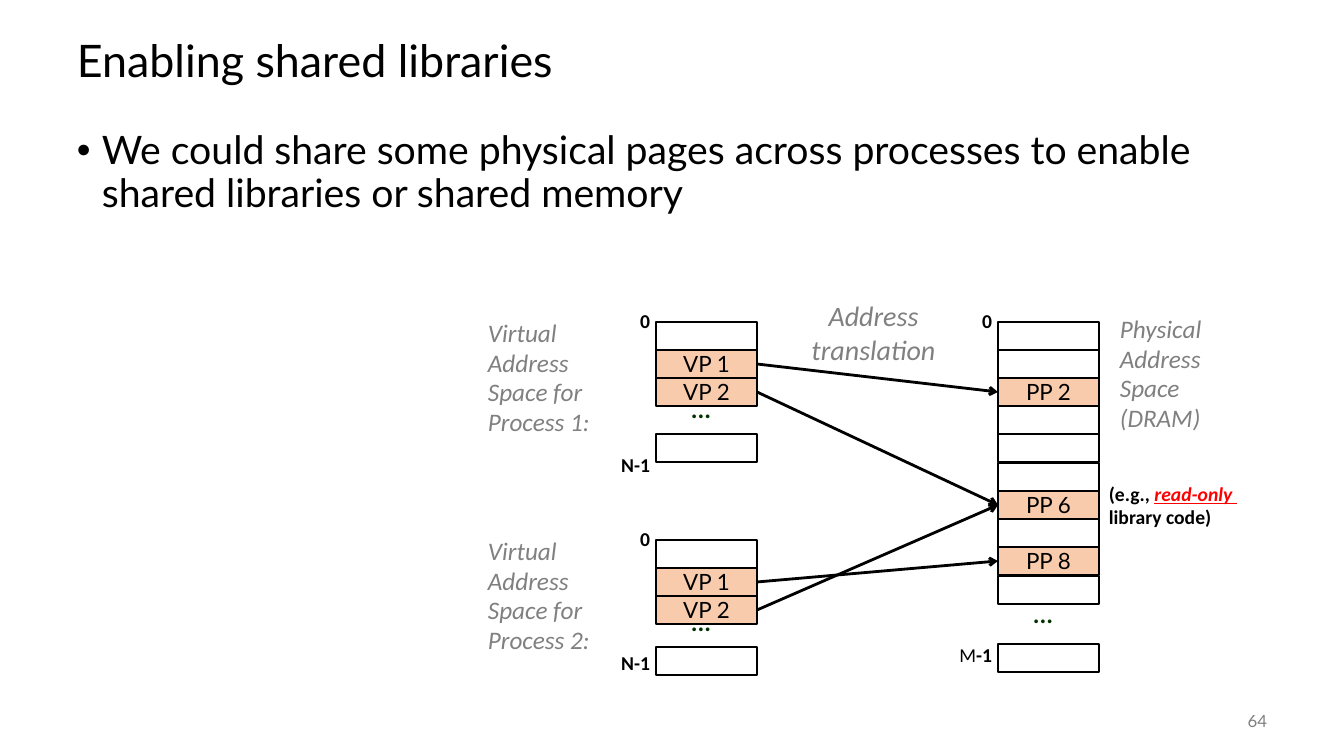
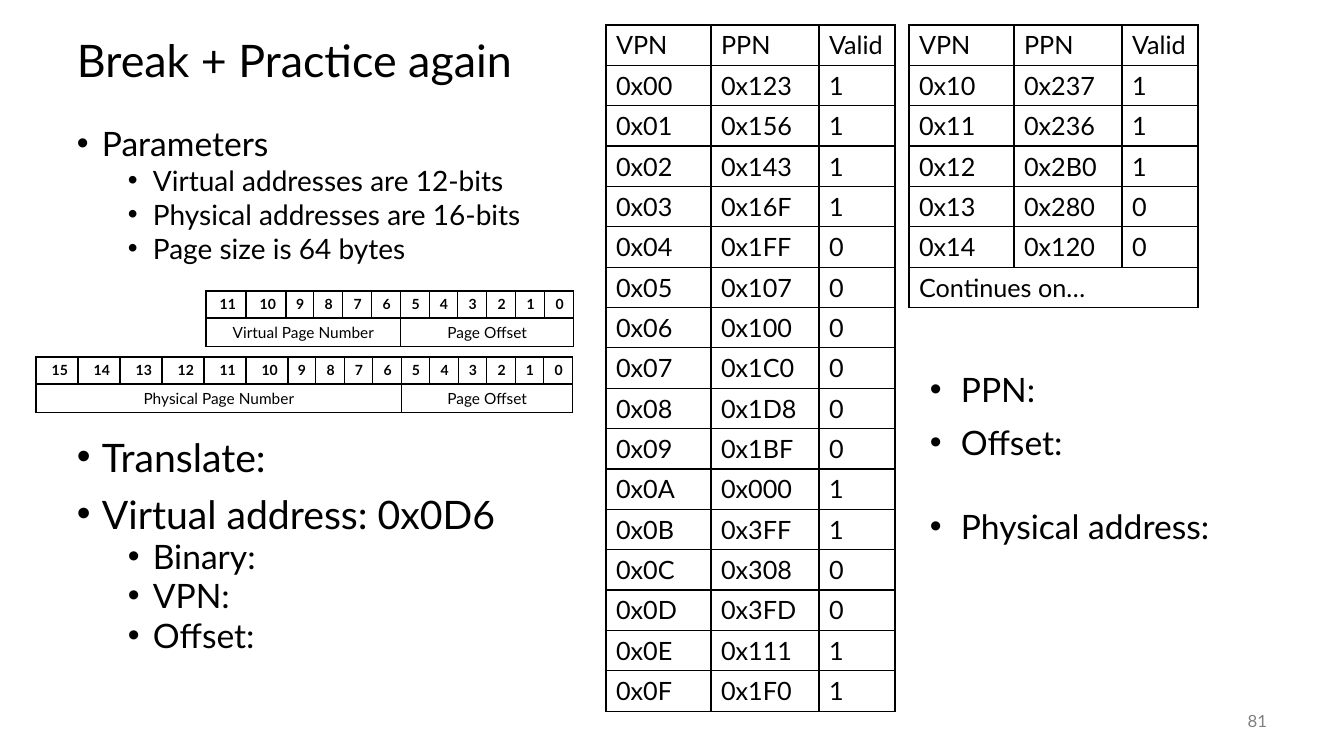
import pptx
import pptx.dml.color
import pptx.enum.shapes
import pptx.enum.text
import pptx.oxml.ns
import pptx.util
from lxml import etree

PX = 914400 / 100.8
COLORS = {"ink": "000000", "muted": "808080", "page": "F8CBAD", "dots": "003300", "alert": "FF0000"}
ALIGN = pptx.enum.text.PP_ALIGN
ANCHOR = pptx.enum.text.MSO_ANCHOR
qn = pptx.oxml.ns.qn
PAGE_W, PAGE_H = 101, 28


def px(n):
    return pptx.util.Emu(round(n * PX))


def rgb(name):
    return pptx.dml.color.RGBColor.from_string(COLORS[name])


def split(total, n):
    edges = [total * i // n for i in range(n + 1)]
    return [b - a for a, b in zip(edges, edges[1:])]


def style_run(r, size, font="Lato", color="ink", bold=False, italic=False, underline=False):
    f = r.font
    f.size = pptx.util.Pt(size)
    f.name = font
    f.bold, f.italic, f.underline = bold, italic, underline
    f.color.rgb = rgb(color)


def write(tf, text, size, align=ALIGN.LEFT, spacing=None, **style):
    tf.text = text
    for p in tf.paragraphs:
        p.alignment = align
        if spacing:
            p.line_spacing = spacing
        for r in p.runs:
            style_run(r, size, **style)


def add_text(s, box, text, size, anchor=ANCHOR.TOP, **style):
    tf = s.shapes.add_textbox(*map(px, box)).text_frame
    tf.word_wrap = True
    tf.vertical_anchor = anchor
    write(tf, text, size, **style)
    return tf


def add_note(s, box, text, size, spacing=0.98, **style):
    return add_text(s, box, text, size, spacing=spacing, font="Calibri", **style)


def add_bullets(s, box, items, hang, spacing):
    tf = add_text(s, box, "\n".join(item[0] for item in items), 24)
    for i, (p, (_, size, indent, before)) in enumerate(zip(tf.paragraphs, items)):
        pPr = p._p.get_or_add_pPr()
        pPr.set("marL", str(px(indent)))
        pPr.set("indent", str(-px(hang)))
        etree.SubElement(pPr, qn("a:buFont")).set("typeface", "Arial")
        etree.SubElement(pPr, qn("a:buChar")).set("char", "•")
        p.line_spacing = spacing
        if i:
            p.space_before = pptx.util.Pt(before)
        for r in p.runs:
            style_run(r, size)


def topic(text, size):
    return text, size, 25, 14


def subtopic(text, size):
    return text, size, 76, 5


def add_slide(prs, title, number):
    s = prs.slides.add_slide(prs.slide_layouts[6])
    add_text(s, (67, 25, 1210, 76), title, 32, anchor=ANCHOR.MIDDLE, spacing=0.9)
    add_text(s, (1176, 701, 101, 40), number, 12, anchor=ANCHOR.MIDDLE, align=ALIGN.RIGHT, color="muted")
    return s


def add_page(s, x, y, label):
    sp = s.shapes.add_shape(pptx.enum.shapes.MSO_SHAPE.RECTANGLE, *map(px, (x, y, PAGE_W, PAGE_H)))
    sp.shadow.inherit = False
    sp.line.color.rgb = rgb("ink")
    sp.line.width = pptx.util.Pt(1)
    if label:
        sp.fill.solid()
        sp.fill.fore_color.rgb = rgb("page")
        tf = sp.text_frame
        tf.margin_top = tf.margin_bottom = 0
        tf.vertical_anchor = ANCHOR.MIDDLE
        write(tf, label, 16, align=ALIGN.CENTER)
    else:
        sp.fill.background()
    return sp


def add_memory(s, x, y, labels, last, dots, end, end_shift, end_bold=True):
    pages = {}
    for i, label in enumerate(labels):
        pages[label] = add_page(s, x, y + 254 * i // 9, label)
    add_page(s, x, y + last, "")
    add_note(s, (x + 25, y + dots, 45, 36), "...", 18, spacing=0.88, color="dots", bold=True)
    add_note(s, (x - 66, y - 17, 70, 33), "0", 14, align=ALIGN.RIGHT, bold=True)
    tf = add_note(s, (x - 66, y + last + end_shift, 70, 33), end, 14, align=ALIGN.RIGHT, bold=end_bold)
    return pages, tf.paragraphs[0]


def add_process(s, x, y, number, last, end_shift):
    add_note(s, (x, y - 8, 151, 129), f"Virtual Address Space for Process {number}:", 18,
             color="muted", italic=True)
    pages, _ = add_memory(s, x + 178, y, ["", "VP 1", "VP 2"], last, last - 42, "N-1", end_shift)
    return pages


def add_physical(s, x, y):
    labels = ["", "", "PP 2", "", "", "", "PP 6", "", "PP 8", ""]
    pages, p = add_memory(s, x, y, labels, 322, 275, "M", -5, end_bold=False)
    style_run_text(p, "-1", bold=True)
    add_note(s, (x + 112, y - 12, 118, 130), "Physical\nAddress\nSpace (DRAM)", 18, color="muted", italic=True)
    tf = add_note(s, (x + 101, y + 156, 160, 56), "(e.g., \nlibrary code)", 14, bold=True)
    style_run_text(tf.paragraphs[0], "read-only ", color="alert", bold=True, italic=True, underline=True)
    return pages


def style_run_text(p, text, **style):
    r = p.add_run()
    r.text = text
    style_run(r, 14, font="Calibri", **style)


def add_mapping(s, source, target):
    c = s.shapes.add_connector(pptx.enum.shapes.MSO_CONNECTOR.STRAIGHT, 0, 0, 0, 0)
    c.begin_connect(source, 3)
    c.end_connect(target, 1)
    c.line.color.rgb = rgb("ink")
    c.line.width = pptx.util.Pt(2)
    etree.SubElement(c.line._get_or_add_ln(), qn("a:tailEnd")).set("type", "arrow")
    etree.SubElement(c._element.spPr, qn("a:effectLst"))


def add_borders(cell):
    tcPr = cell._tc.get_or_add_tcPr()
    for i, side in enumerate(("lnL", "lnR", "lnT", "lnB")):
        ln = etree.Element(qn("a:" + side), w="12700")
        fill = etree.SubElement(ln, qn("a:solidFill"))
        etree.SubElement(fill, qn("a:srgbClr")).set("val", COLORS["ink"])
        tcPr.insert(i, ln)


def add_grid(s, x, y, widths, heights):
    box = (x, y, sum(widths), sum(heights))
    table = s.shapes.add_table(len(heights), len(widths), *map(px, box)).table
    table.first_row = table.horz_banding = False
    for col, w in zip(table.columns, widths):
        col.width = px(w)
    for row, h in zip(table.rows, heights):
        row.height = px(h)
    for cell in table.iter_cells():
        cell.fill.background()
        add_borders(cell)
    return table


def add_page_table(s, x, y, entries, closing=None):
    rows = [("VPN", "PPN", "Valid")] + entries
    count = len(rows) + bool(closing)
    table = add_grid(s, x, y, [105, 108, 76], [40] * count)
    for i, row in enumerate(rows):
        for j, text in enumerate(row):
            write(table.cell(i, j).text_frame, text, 18)
    if closing:
        last = table.cell(count - 1, 0)
        last.merge(table.cell(count - 1, 2))
        write(last.text_frame, closing, 18)


def add_address_bits(s, x, y, widths, name):
    bits = len(widths)
    table = add_grid(s, x, y, widths, [27, 28])
    for j in range(bits):
        write(table.cell(0, j).text_frame, str(bits - 1 - j), 10, align=ALIGN.RIGHT, bold=True)
    offset = bits - 6
    for first, last, text in ((0, offset - 1, name), (offset, bits - 1, "Page Offset")):
        cell = table.cell(1, first)
        cell.merge(table.cell(1, last))
        write(cell.text_frame, text, 11, align=ALIGN.CENTER)


def entries(start, ppns, valid):
    return [(f"0x{start + i:02X}", "0x" + ppn, v) for i, (ppn, v) in enumerate(zip(ppns.split(), valid))]


def shared_libraries_slide(prs):
    s = add_slide(prs, "Enabling shared libraries", "64")
    add_bullets(s, (67, 126, 1210, 120), [topic(
        "We could share some physical pages across processes to enable shared libraries or shared memory",
        28)], 25, 0.9)
    first = add_process(s, 478, 322, 1, 112, 15)
    second = add_process(s, 478, 540, 2, 107, 0)
    physical = add_physical(s, 998, 322)
    for process, source, target in ((first, "VP 1", "PP 2"), (first, "VP 2", "PP 6"),
                                    (second, "VP 2", "PP 6"), (second, "VP 1", "PP 8")):
        add_mapping(s, process[source], physical[target])
    add_note(s, (799, 294, 149, 78), "Address\ntranslation", 20, spacing=None, align=ALIGN.CENTER,
             color="muted", italic=True)


def practice_slide(prs):
    s = add_slide(prs, "Break + Practice again", "81")
    add_bullets(s, (67, 126, 520, 150), [
        topic("Parameters", 24),
        subtopic("Virtual addresses are 12-bits", 20),
        subtopic("Physical addresses are 16-bits", 20),
        subtopic("Page size is 64 bytes", 20)], 25, 0.8)
    add_bullets(s, (67, 437, 520, 230), [
        topic("Translate:", 28),
        topic("Virtual address: 0x0D6", 28),
        subtopic("Binary:", 24),
        subtopic("VPN:", 24),
        subtopic("Offset:", 24)], 25, 0.8)
    add_page_table(s, 606, 25, entries(
        0, "123 156 143 16F 1FF 107 100 1C0 1D8 1BF 000 3FF 308 3FD 111 1F0", "1111000000110011"))
    add_page_table(s, 909, 25, entries(16, "237 236 2B0 280 120", "11100"), "Continues on…")
    add_bullets(s, (920, 364, 384, 187), [
        ("PPN:", 24, 31, 0),
        ("Offset:", 24, 31, 9),
        ("Physical address:", 24, 31, 31)], 31, 1.0)
    add_address_bits(s, 206, 291, [40] * 2 + split(288, 10), "Virtual Page Number")
    add_address_bits(s, 36, 357, [42] * 6 + split(285, 10), "Physical Page Number")


def main():
    prs = pptx.Presentation()
    prs.slide_width, prs.slide_height = px(1344), px(756)
    shared_libraries_slide(prs)
    practice_slide(prs)
    prs.save("out.pptx")


if __name__ == "__main__":
    main()
